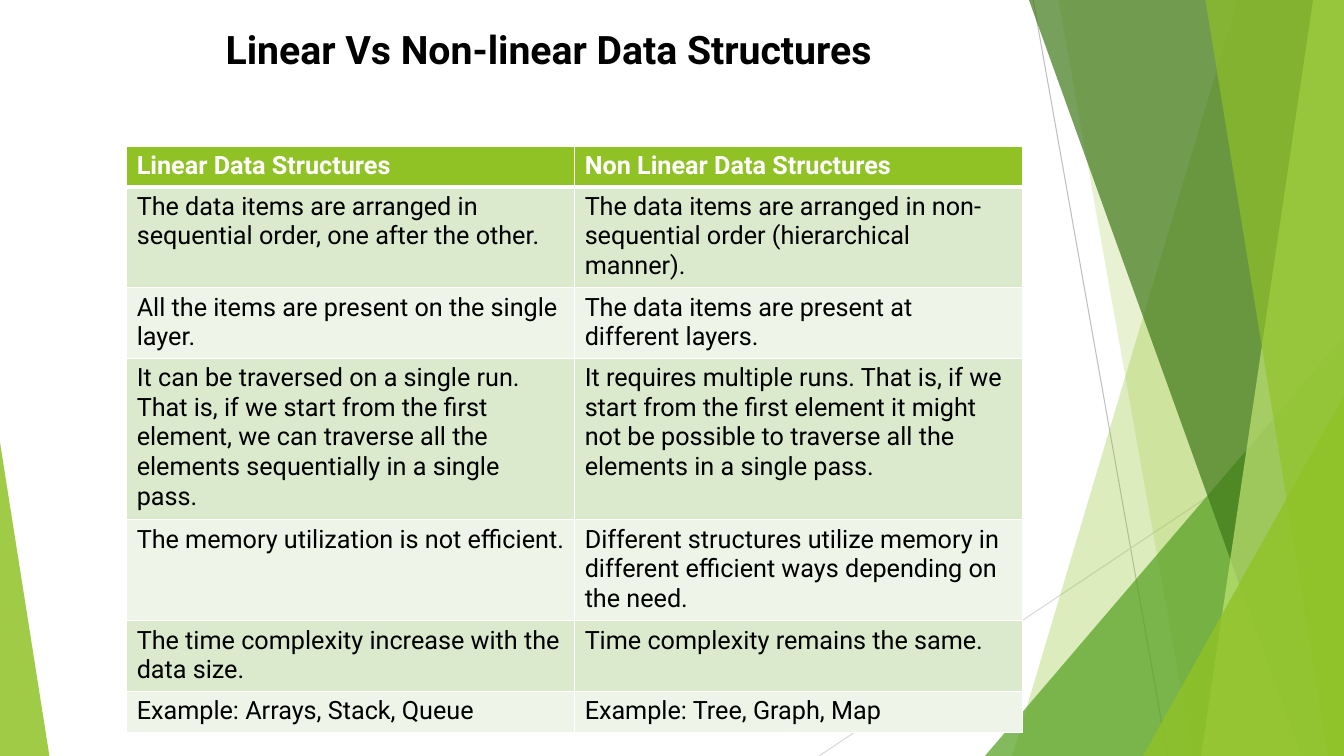
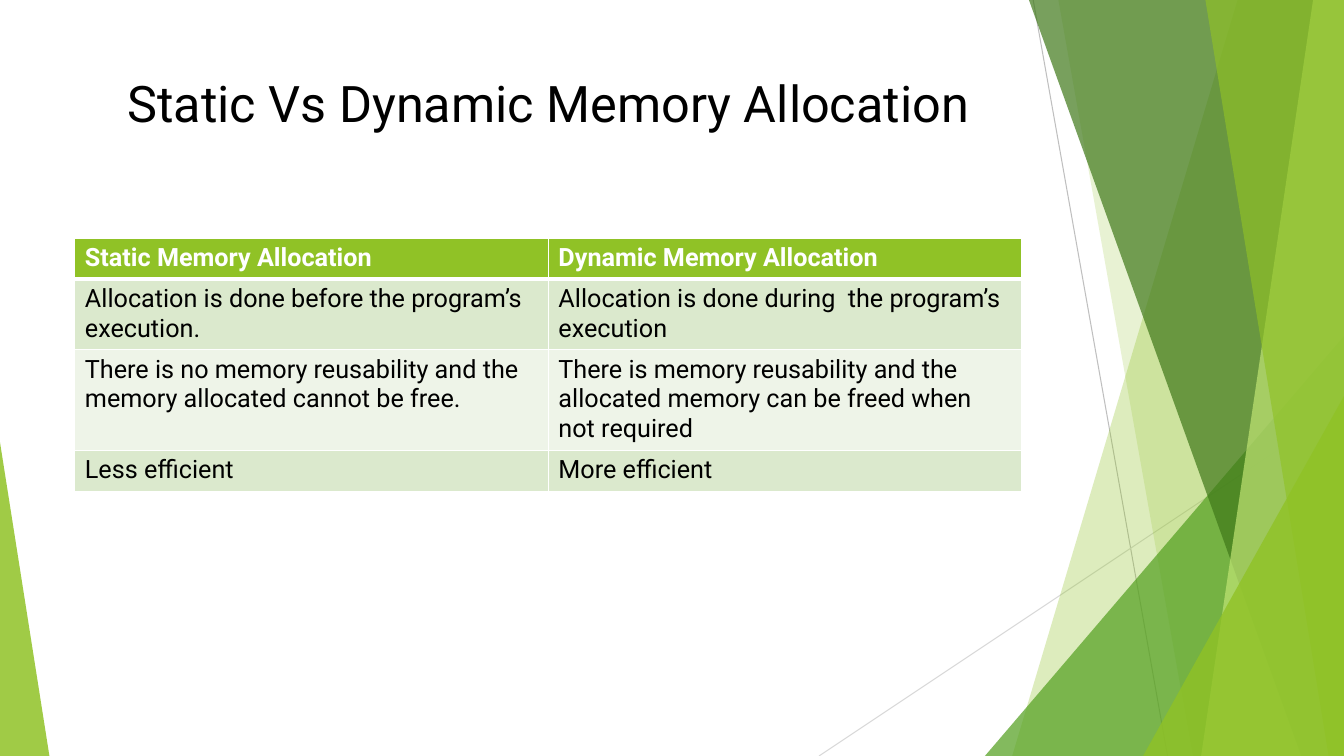
import lxml.etree
import pptx
import pptx.dml.color
import pptx.enum.shapes
import pptx.enum.text
import pptx.oxml.ns
import pptx.util

Pt = pptx.util.Pt
qn = pptx.oxml.ns.qn

SLIDE_WIDTH, SLIDE_HEIGHT = 960, 540
FONT = "Roboto"
WHITE, BLACK = "FFFFFF", "000000"
LIME, GREEN, FOREST, PALE_LIME = "90C226", "54A021", "3F7819", "C0E474"
BANDS = ("DBE9CD", "EEF4E8")
CELL_SIZE, LINE_HEIGHT, CELL_PADDING, MIN_ROW = 18, 21.1, 7.2, 29.2

RAYS = (
    ((153, 0), (249, 540), "BFBFBF"),
    ((375, 290), (0, 540), "D9D9D9"),
)
FACETS = (
    ("sheet", 76, 237, LIME, 30),
    ("sheet", 204, 108, LIME, 20),
    ("corner", 256.5, 300, GREEN, 72),
    ("sheet", 225, 30.5, FOREST, 70),
    ("sheet", 22, 102, PALE_LIME, 70),
    ("sheet", 99, 11, LIME, 65),
    ("corner", 143.5, 257, LIME, 80),
)

COMPARISONS = (
    {
        "title": "Linear Vs Non-linear Data Structures",
        "title_box": (53.5, 14.4, 676.5, 50),
        "size": 28,
        "bold": True,
        "table_box": (90.5, 104.4, 640),
        "line_counts": (1, 3, 2, 5, 3, 2, 1),
        "rows": (
            ("Linear Data Structures", "Non Linear Data Structures"),
            ("The data items are arranged in sequential order, one after the other.",
             "The data items are arranged in non-sequential order (hierarchical manner)."),
            ("All the items are present on the single layer.",
             "The data items are present at different layers."),
            ("It can be traversed on a single run. That is, if we start from the first element, "
             "we can traverse all the elements sequentially in a single pass.",
             "It requires multiple runs. That is, if we start from the first element it might "
             "not be possible to traverse all the elements in a single pass."),
            ("The memory utilization is not efficient.",
             "Different structures utilize memory in different efficient ways depending on the need."),
            ("The time complexity increase with the data size.",
             "Time complexity remains the same."),
            ("Example: Arrays, Stack, Queue", "Example: Tree, Graph, Map"),
        ),
    },
    {
        "title": "Static Vs Dynamic Memory Allocation",
        "title_box": (53.5, 48, 676.5, 104),
        "size": 36,
        "bold": False,
        "table_box": (53.5, 170.2, 676.5),
        "line_counts": (1, 2, 3, 1),
        "rows": (
            ("Static Memory Allocation", "Dynamic Memory Allocation"),
            ("Allocation is done before the program’s execution.",
             "Allocation is done during  the program’s execution"),
            ("There is no memory reusability and the memory allocated cannot be free.",
             "There is memory reusability and the allocated memory can be freed when not required"),
            ("Less efficient", "More efficient"),
        ),
    },
)


def colour(value):
    return pptx.dml.color.RGBColor.from_string(value)


def add_run(paragraph, text, size, value, bold):
    run = paragraph.add_run()
    run.text = text
    run.font.name = FONT
    run.font.size = Pt(size)
    run.font.bold = bold
    run.font.color.rgb = colour(value)


def paint(shape, value, opacity):
    shape.shadow.inherit = False
    shape.fill.solid()
    shape.fill.fore_color.rgb = colour(value)
    shape.line.fill.background()
    tint = shape.element.spPr.find(qn("a:solidFill")).find(qn("a:srgbClr"))
    lxml.etree.SubElement(tint, qn("a:alpha")).set("val", str(opacity * 1000))


def add_ray(shapes, start, end, value):
    ray = shapes.add_connector(
        pptx.enum.shapes.MSO_CONNECTOR.STRAIGHT, *(Pt(length) for length in start + end))
    ray.line.width = Pt(0.75)
    ray.line.color.rgb = colour(value)
    lxml.etree.SubElement(ray.element.spPr, qn("a:effectLst"))


def add_triangle(shapes, box, apex, value, opacity):
    triangle = shapes.add_shape(
        pptx.enum.shapes.MSO_SHAPE.ISOSCELES_TRIANGLE, *(Pt(length) for length in box))
    triangle.adjustments[0] = apex
    paint(triangle, value, opacity)


def add_sheet(shapes, corners, value, opacity):
    points = [(Pt(x), Pt(y)) for x, y in corners]
    builder = shapes.build_freeform(*points[0])
    builder.add_line_segments(points[1:], close=True)
    paint(builder.convert_to_shape(), value, opacity)


def add_facets(shapes, left, top, width, height):
    right, bottom = left + width, top + height
    for start, end, value in RAYS:
        add_ray(shapes, (left + start[0], top + start[1]), (left + end[0], top + end[1]), value)
    for kind, first, second, value, opacity in FACETS:
        if kind == "sheet":
            corners = ((right - first, top), (right, top), (right, bottom), (right - second, bottom))
            add_sheet(shapes, corners, value, opacity)
        else:
            add_triangle(shapes, (right - first, bottom - second, first, second), 1, value, opacity)


def add_backdrop(slide):
    shapes = slide.shapes.add_group_shape().shapes
    add_facets(shapes, 585, 0, SLIDE_WIDTH - 585, SLIDE_HEIGHT)
    add_triangle(shapes, (0, 316, 35.3, SLIDE_HEIGHT - 316), 0, LIME, 85)


def add_title(slide, box, text, size, bold):
    frame = slide.shapes.add_textbox(*(Pt(length) for length in box)).text_frame
    frame.word_wrap = True
    frame.vertical_anchor = pptx.enum.text.MSO_ANCHOR.TOP
    paragraph = frame.paragraphs[0]
    paragraph.alignment = pptx.enum.text.PP_ALIGN.CENTER
    add_run(paragraph, text, size, BLACK, bold)


def set_borders(cell, widths):
    properties = cell._tc.get_or_add_tcPr()
    for side, width in zip("LRTB", widths):
        border = lxml.etree.SubElement(properties, qn("a:ln" + side), w=str(Pt(width)))
        fill = lxml.etree.SubElement(border, qn("a:solidFill"))
        lxml.etree.SubElement(fill, qn("a:srgbClr"), val=WHITE)


def add_comparison_table(slide, box, rows, line_counts):
    left, top, width = box
    heights = [max(MIN_ROW, CELL_PADDING + LINE_HEIGHT * count) for count in line_counts]
    columns = len(rows[0])
    table = slide.shapes.add_table(
        len(rows), columns, Pt(left), Pt(top), Pt(width), Pt(sum(heights))).table
    table.horz_banding = False
    for column in table.columns:
        column.width = Pt(width / columns)
    for row_index, texts in enumerate(rows):
        table.rows[row_index].height = Pt(heights[row_index])
        header = row_index == 0
        for column_index, text in enumerate(texts):
            cell = table.cell(row_index, column_index)
            set_borders(cell, (1, 1, 3 if row_index == 1 else 1, 3 if header else 1))
            cell.fill.solid()
            cell.fill.fore_color.rgb = colour(LIME if header else BANDS[(row_index - 1) % 2])
            add_run(cell.text_frame.paragraphs[0], text, CELL_SIZE,
                    WHITE if header else BLACK, header)


def add_comparison_slide(presentation, content):
    slide = presentation.slides.add_slide(presentation.slide_layouts[6])
    add_backdrop(slide)
    add_title(slide, content["title_box"], content["title"], content["size"], content["bold"])
    add_comparison_table(slide, content["table_box"], content["rows"], content["line_counts"])


def main():
    presentation = pptx.Presentation()
    presentation.slide_width = Pt(SLIDE_WIDTH)
    presentation.slide_height = Pt(SLIDE_HEIGHT)
    for content in COMPARISONS:
        add_comparison_slide(presentation, content)
    presentation.save("out.pptx")


if __name__ == "__main__":
    main()
